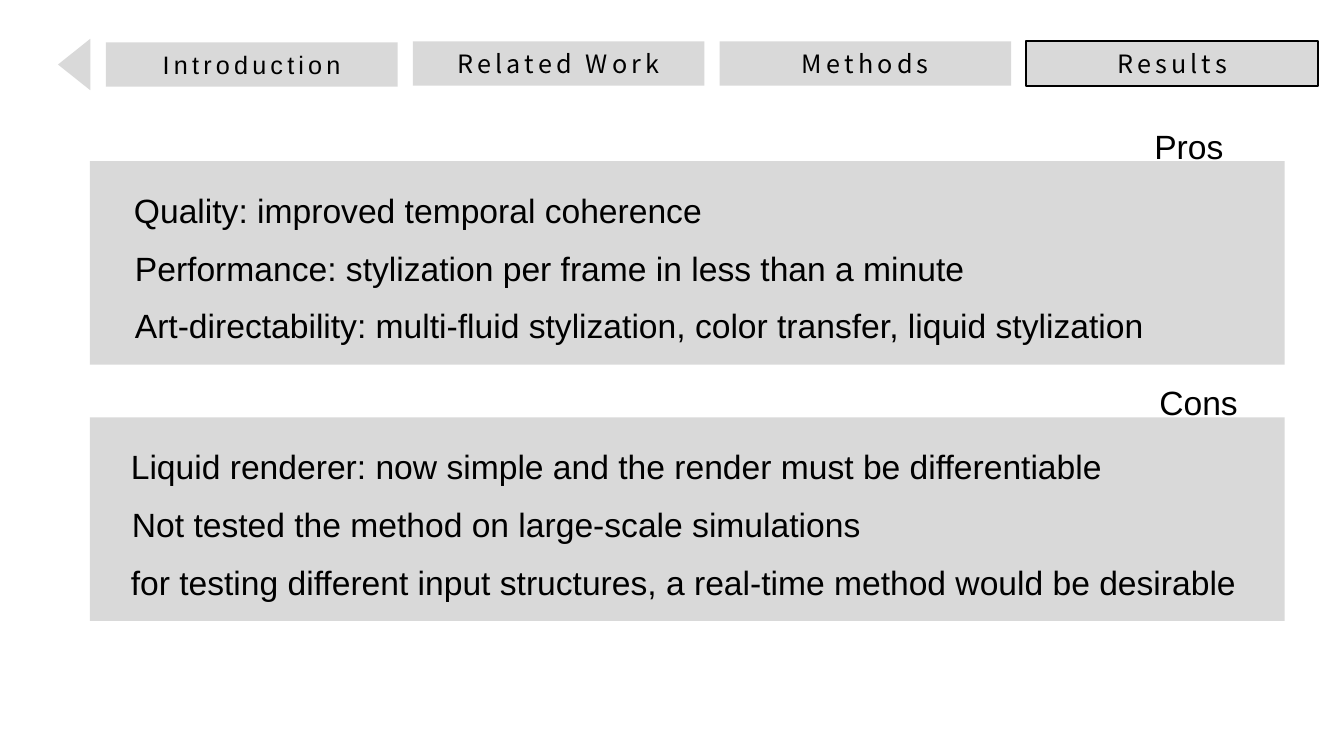
"""Build the results slide with its tab bar and the pros and cons panels."""
from dataclasses import dataclass

import pptx
import pptx.dml.color
import pptx.enum.shapes
import pptx.enum.text
import pptx.util

GREY = pptx.dml.color.RGBColor(0xD9, 0xD9, 0xD9)
BLACK = pptx.dml.color.RGBColor(0, 0, 0)
KIND = pptx.enum.shapes.MSO_SHAPE
ALIGN = pptx.enum.text.PP_ALIGN
ANCHOR = pptx.enum.text.MSO_ANCHOR
FIT = pptx.enum.text.MSO_AUTO_SIZE
WIDE = pptx.util.Inches(13.33)
HIGH = pptx.util.Inches(7.5)


@dataclass(frozen=True)
class Box:
    left: float
    top: float
    width: float
    height: float

    def place(self) -> tuple[int, int, int, int]:
        return (int(WIDE * self.left / 100), int(HIGH * self.top / 100),
                int(WIDE * self.width / 100), int(HIGH * self.height / 100))


@dataclass(frozen=True)
class Tab:
    name: str
    top: float = 5.47
    font: str = "Noto Sans CJK SC"
    active: bool = False


@dataclass(frozen=True)
class Line:
    text: str
    left: float
    width: float


@dataclass(frozen=True)
class Panel:
    title: Line
    lines: tuple[Line, ...]


TABS = (
    Tab("Introduction", top=5.6, font="Arial"),
    Tab("Related Work"),
    Tab("Methods"),
    Tab("Results", active=True),
)
TAB_LEFT, TAB_STEP = 7.88, 22.83
PANELS = (
    Panel(Line("Pros", 85.15, 8.1), (
        Line("Quality: improved temporal coherence", 9.23, 68.27),
        Line("Performance: stylization per frame in less than a minute",
             9.3, 79.67),
        Line("Art-directability: multi-fluid stylization, color transfer, "
             "liquid stylization", 9.3, 80.27),
    )),
    Panel(Line("Cons", 85.52, 8.1), (
        Line("Liquid renderer: now simple and the render must be "
             "differentiable", 9, 82.67),
        Line("Not tested the method on large-scale simulations", 9.08, 82.67),
        Line("for testing different input structures, a real-time method "
             "would be desirable", 9, 88.22),
    )),
)
PANEL_TOP, PANEL_STEP = 21.33, 33.87
LINE_DROP, LINE_STEP, LINE_HIGH = 3.07, 7.67, 6.67
TITLE_RISE = 5.4


def write(frame, text: str, *, font: str = "Arial", size: int = 24,
          align=ALIGN.LEFT, gap: int = 0) -> None:
    para = frame.paragraphs[0]
    para.alignment = align
    run = para.add_run()
    run.text = text
    run.font.name = font
    run.font.size = pptx.util.Pt(size)
    run.font.color.rgb = BLACK
    if gap:
        run._r.get_or_add_rPr().set("spc", str(gap * 100))


def draw(slide, kind, box: Box):
    shape = slide.shapes.add_shape(kind, *box.place())
    shape.shadow.inherit = False
    shape.fill.solid()
    shape.fill.fore_color.rgb = GREY
    shape.line.fill.background()
    return shape


def draw_line(slide, line: Line, top: float) -> None:
    box = Box(line.left, top, line.width, LINE_HIGH)
    frame = slide.shapes.add_textbox(*box.place()).text_frame
    frame.word_wrap = True
    frame.auto_size = FIT.SHAPE_TO_FIT_TEXT
    write(frame, line.text)


def draw_tab(slide, tab: Tab, left: float) -> None:
    shape = draw(slide, KIND.RECTANGLE, Box(left, tab.top, 21.7, 5.87))
    if tab.active:
        shape.line.color.rgb = BLACK
        shape.line.width = pptx.util.Pt(1.5)
    shape.text_frame.vertical_anchor = ANCHOR.MIDDLE
    write(shape.text_frame, tab.name, font=tab.font, size=18,
          align=ALIGN.CENTER, gap=3)


def draw_panel(slide, panel: Panel, top: float) -> None:
    draw(slide, KIND.RECTANGLE, Box(6.68, top, 88.9, 26.93))
    for row, line in enumerate(panel.lines):
        draw_line(slide, line, top + LINE_DROP + row * LINE_STEP)
    draw_line(slide, panel.title, top - TITLE_RISE)


def main() -> None:
    deck = pptx.Presentation()
    deck.slide_width, deck.slide_height = WIDE, HIGH
    slide = deck.slides.add_slide(deck.slide_layouts[6])
    for row, panel in enumerate(PANELS):
        draw_panel(slide, panel, PANEL_TOP + row * PANEL_STEP)
    back = draw(slide, KIND.ISOSCELES_TRIANGLE, Box(3.6, 6.4, 3.83, 4.27))
    back.rotation = 270
    for col, tab in enumerate(TABS):
        draw_tab(slide, tab, TAB_LEFT + col * TAB_STEP)
    deck.save("out.pptx")


if __name__ == "__main__":
    main()
